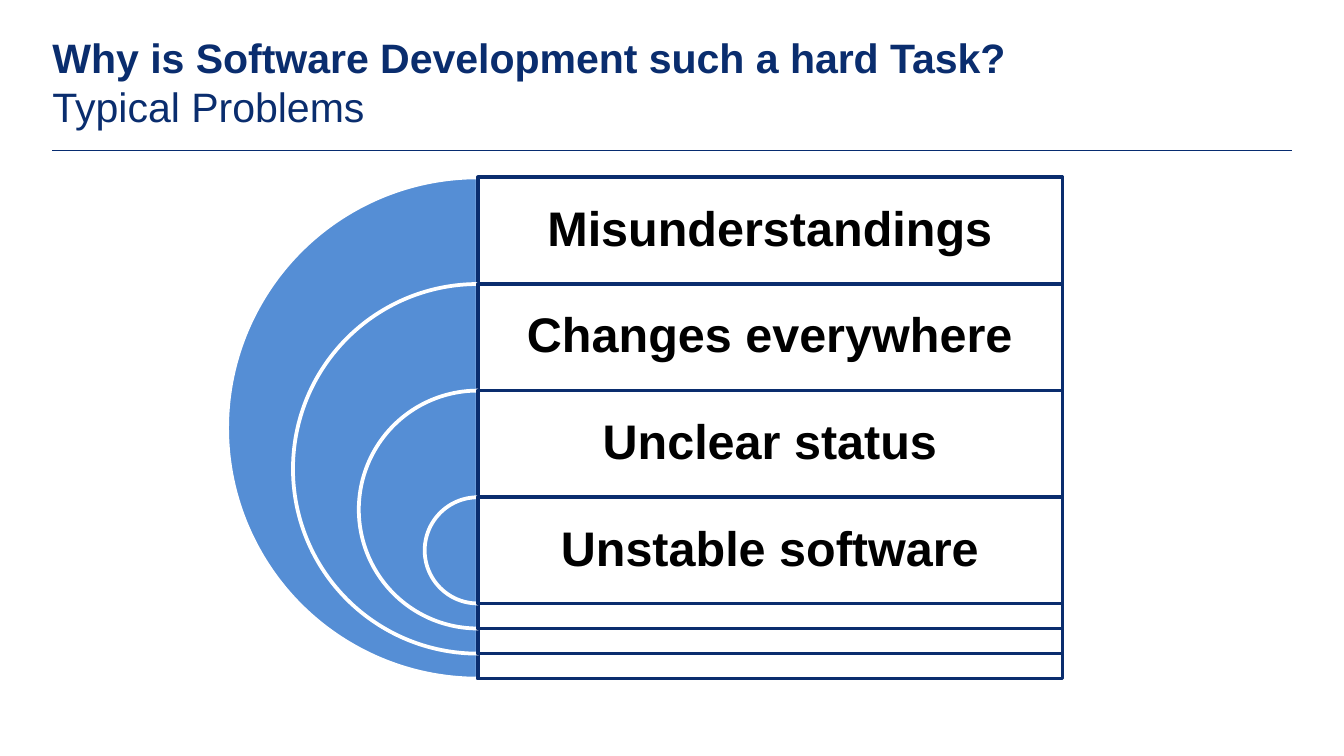
import dataclasses

import lxml.etree
import pptx
import pptx.dml.color
import pptx.enum.shapes
import pptx.enum.text
import pptx.oxml.ns
import pptx.util

Inches = pptx.util.Inches
Pt = pptx.util.Pt
SHAPES = pptx.enum.shapes.MSO_SHAPE
ALIGN = pptx.enum.text.PP_ALIGN
ANCHOR = pptx.enum.text.MSO_ANCHOR
COLORS = {
    "navy": "0A2D6E",
    "rule": "072C70",
    "blue": "558ED5",
    "white": "FFFFFF",
    "black": "000000",
}
FONT = "Arial"
WIDTH = 10
HEIGHT = WIDTH * 9 / 16
LEFT, TOP, SIZE = 1.69, 1.32, 3.73
STEP, SHRINK = 2.38 / 3, 0.98
PANEL_LEFT, PANEL_WIDTH, INSET = LEFT + SIZE / 2, 4.35, 0.12


@dataclasses.dataclass
class Ring:
    label: str
    left: float
    top: float
    size: float
    bottom: float


def color(name: str) -> pptx.dml.color.RGBColor:
    return pptx.dml.color.RGBColor.from_string(COLORS[name])


def style_run(run, size: float, name: str, bold: bool) -> None:
    run.font.name = FONT
    run.font.size = Pt(size)
    run.font.bold = bold
    run.font.color.rgb = color(name)


def add_block(slide, kind, box: tuple, fill: str, line: str):
    block = slide.shapes.add_shape(kind, *map(Inches, box))
    block.shadow.inherit = False
    block.fill.solid()
    block.fill.fore_color.rgb = color(fill)
    block.line.color.rgb = color(line)
    block.line.width = Pt(2)
    return block


def add_title(slide) -> None:
    title = slide.shapes.title
    title.left, title.top = Inches(0.39), Inches(0.24)
    title.width, title.height = Inches(9.21), Inches(0.41)
    frame = title.text_frame
    frame.text = "Why is Software Development such a hard Task?\vTypical Problems"
    frame.auto_size = pptx.enum.text.MSO_AUTO_SIZE.NONE
    frame.vertical_anchor = ANCHOR.TOP
    frame.margin_left = frame.margin_right = 0
    frame.margin_top = frame.margin_bottom = 0
    para = frame.paragraphs[0]
    para.alignment = ALIGN.LEFT
    para.line_spacing = 1.0
    for run, bold in zip(para.runs, (True, False)):
        style_run(run, 22, "navy", bold)
    gap = para._p.find(pptx.oxml.ns.qn("a:br"))
    lxml.etree.SubElement(gap, pptx.oxml.ns.qn("a:rPr")).set("sz", "2200")


def add_rule(slide) -> None:
    rule = slide.shapes.add_connector(
        pptx.enum.shapes.MSO_CONNECTOR.STRAIGHT,
        Inches(0.39), Inches(1.12), Inches(9.61), Inches(1.12),
    )
    rule.line.color.rgb = color("rule")
    rule.line.width = Pt(0.75)
    props = rule._element.spPr
    lxml.etree.SubElement(props, pptx.oxml.ns.qn("a:effectLst"))


def add_ring(slide, ring: Ring) -> None:
    box = (ring.left, ring.top, ring.size, ring.size)
    pie = add_block(slide, SHAPES.PIE, box, "blue", "white")
    pie.adjustments[0] = 54
    pie.adjustments[1] = 162

    box = (PANEL_LEFT, ring.top, PANEL_WIDTH, ring.size)
    panel = add_block(slide, SHAPES.RECTANGLE, box, "white", "navy")
    tint = panel._element.spPr.find(".//" + pptx.oxml.ns.qn("a:srgbClr"))
    alpha = lxml.etree.SubElement(tint, pptx.oxml.ns.qn("a:alpha"))
    alpha.set("val", "90000")
    frame = panel.text_frame
    frame.text = ring.label
    frame.word_wrap = True
    frame.vertical_anchor = ANCHOR.MIDDLE
    frame.margin_left = frame.margin_right = frame.margin_top = Inches(INSET)
    frame.margin_bottom = Inches(ring.bottom)
    para = frame.paragraphs[0]
    para.alignment = ALIGN.CENTER
    para.line_spacing = 0.9
    style_run(para.runs[0], 26, "black", True)


def main() -> None:
    deck = pptx.Presentation()
    deck.slide_width, deck.slide_height = Inches(WIDTH), Inches(HEIGHT)
    slide = deck.slides.add_slide(deck.slide_layouts.get_by_name("Title Only"))
    add_title(slide)
    add_rule(slide)
    labels = (
        "Misunderstandings",
        "Changes everywhere",
        "Unclear status",
        "Unstable software",
    )
    inner = SIZE - SHRINK * (len(labels) - 1)
    for i, label in enumerate(labels):
        size = SIZE - i * SHRINK
        ring = Ring(
            label, LEFT + i * SHRINK / 2, TOP + i * STEP,
            size, INSET + size - inner,
        )
        add_ring(slide, ring)
    deck.save("out.pptx")


if __name__ == "__main__":
    main()
